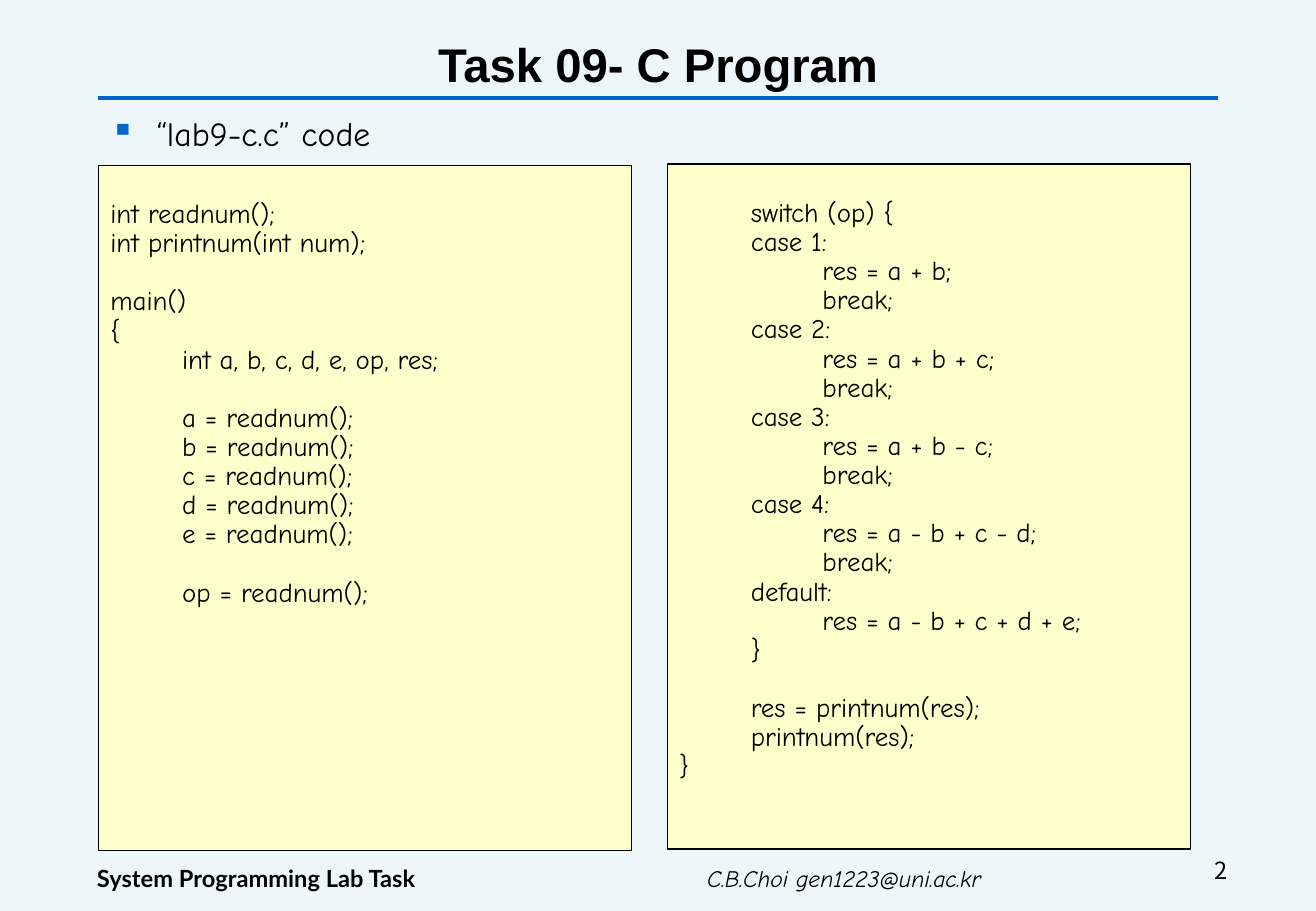
from lxml import etree
from pptx import Presentation
from pptx import util as u
from pptx.dml import color
from pptx.enum import shapes, text
from pptx.oxml import ns

HUES = {"back": "EDF7F9", "rule": "0066CC", "panel": "FFFFCC", "ink": "000000"}
FONTS = {
    "title": {"name": "Arial", "size": u.Pt(28), "bold": True},
    "topic": {"name": "Comic Neue", "size": u.Pt(20)},
    "code": {"name": "Comic Neue", "size": u.Pt(16)},
    "course": {"name": "Lato", "size": u.Pt(14), "bold": True},
    "author": {"name": "Comic Neue", "size": u.Pt(14), "italic": True},
    "page": {"name": "Noto Sans CJK KR", "size": u.Pt(14)},
}
PITCH = 17.25
TAB = 0.59

LEFT = """int readnum();
int printnum(int num);

main()
{
\tint a, b, c, d, e, op, res;

\ta = readnum();
\tb = readnum();
\tc = readnum();
\td = readnum();
\te = readnum();

\top = readnum();"""

RIGHT = """\tswitch (op) {
\tcase 1:
\t\tres = a + b;
\t\tbreak;
\tcase 2:
\t\tres = a + b + c;
\t\tbreak;
\tcase 3:
\t\tres = a + b - c;
\t\tbreak;
\tcase 4:
\t\tres = a - b + c - d;
\t\tbreak;
\tdefault:
\t\tres = a - b + c + d + e;
\t}

\tres = printnum(res);
\tprintnum(res);
}"""


def adjust(item, values):
    for key, value in values.items():
        setattr(item, key, value)


def rgb(hue):
    return color.RGBColor.from_string(HUES[hue])


class Deck:
    def __init__(self, wide, high):
        self.show = Presentation()
        adjust(self.show, {"slide_width": u.Inches(wide), "slide_height": u.Inches(high)})
        self.slide = self.show.slides.add_slide(self.show.slide_layouts[6])
        self.paint(self.slide.background.fill, "back")

    def paint(self, fill, hue):
        fill.solid()
        fill.fore_color.rgb = rgb(hue)

    def letter(self, para, words, style):
        run = para.add_run()
        run.text = words
        adjust(run.font, FONTS[style])
        run.font.color.rgb = rgb("ink")

    def label(self, spot, words, style, align="LEFT", wrap=True, anchor="TOP"):
        box = self.slide.shapes.add_textbox(*map(u.Inches, spot))
        adjust(box.text_frame, {"word_wrap": wrap,
                                "vertical_anchor": text.MSO_ANCHOR[anchor]})
        para = box.text_frame.paragraphs[0]
        para.alignment = text.PP_ALIGN[align]
        self.letter(para, words, style)
        return para

    def bullet(self, spot, words, style):
        para = self.label(spot, words, style)
        para.space_before = u.Pt(4)
        props = para._p.get_or_add_pPr()
        props.set("marL", str(u.Inches(0.38)))
        props.set("indent", str(u.Inches(-0.38)))
        tint = etree.SubElement(props, ns.qn("a:buClr"))
        etree.SubElement(tint, ns.qn("a:srgbClr"), val=HUES["rule"])
        etree.SubElement(props, ns.qn("a:buChar"), char="▪")

    def rule(self, left, right, top):
        line = self.slide.shapes.add_connector(
            shapes.MSO_CONNECTOR.STRAIGHT, *map(u.Inches, (left, top, right, top)))
        line.line.color.rgb = rgb("rule")
        line.line.width = u.Pt(2.25)
        etree.SubElement(line._element.spPr, ns.qn("a:effectLst"))

    def panel(self, spot, code):
        box = self.slide.shapes.add_shape(
            shapes.MSO_SHAPE.RECTANGLE, *map(u.Inches, spot))
        box.shadow.inherit = False
        self.paint(box.fill, "panel")
        box.line.color.rgb = rgb("ink")
        box.line.width = u.Pt(0.75)
        frame = box.text_frame
        adjust(frame, {"word_wrap": True, "vertical_anchor": text.MSO_ANCHOR.TOP,
                       "margin_top": u.Inches(0.05) + u.Pt(PITCH)})
        para, gap = frame.paragraphs[0], 0
        for row in code.split("\n"):
            if not row:
                gap = PITCH
                continue
            if para.runs:
                para = frame.add_paragraph()
            adjust(para, {"alignment": text.PP_ALIGN.LEFT, "line_spacing": 0.9,
                          "space_before": u.Pt(gap)})
            depth = row.count("\t")
            para._p.get_or_add_pPr().set("marL", str(u.Inches(TAB * depth)))
            self.letter(para, row.strip(), "code")
            gap = 0


deck = Deck(10.83, 7.5)
deck.rule(0.81, 10.02, 0.81)
deck.label((0.7, 7.06, 3.26, 0.34), "System Programming Lab Task", "course", wrap=False)
deck.label((5.72, 7.06, 2.71, 0.34), "C.B.Choi gen1223@uni.ac.kr", "author", wrap=False)
deck.label((0.81, 0.24, 9.21, 0.56), "Task 09- C Program", "title", "CENTER",
           anchor="MIDDLE")
deck.bullet((0.81, 0.88, 9.21, 6.09), "“lab9-c.c” code", "topic")
deck.label((9.22, 7, 0.98, 0.5), "2", "page", "RIGHT")
deck.panel((0.81, 1.36, 4.39, 5.64), LEFT)
deck.panel((5.49, 1.35, 4.31, 5.64), RIGHT)
deck.show.save("out.pptx")
